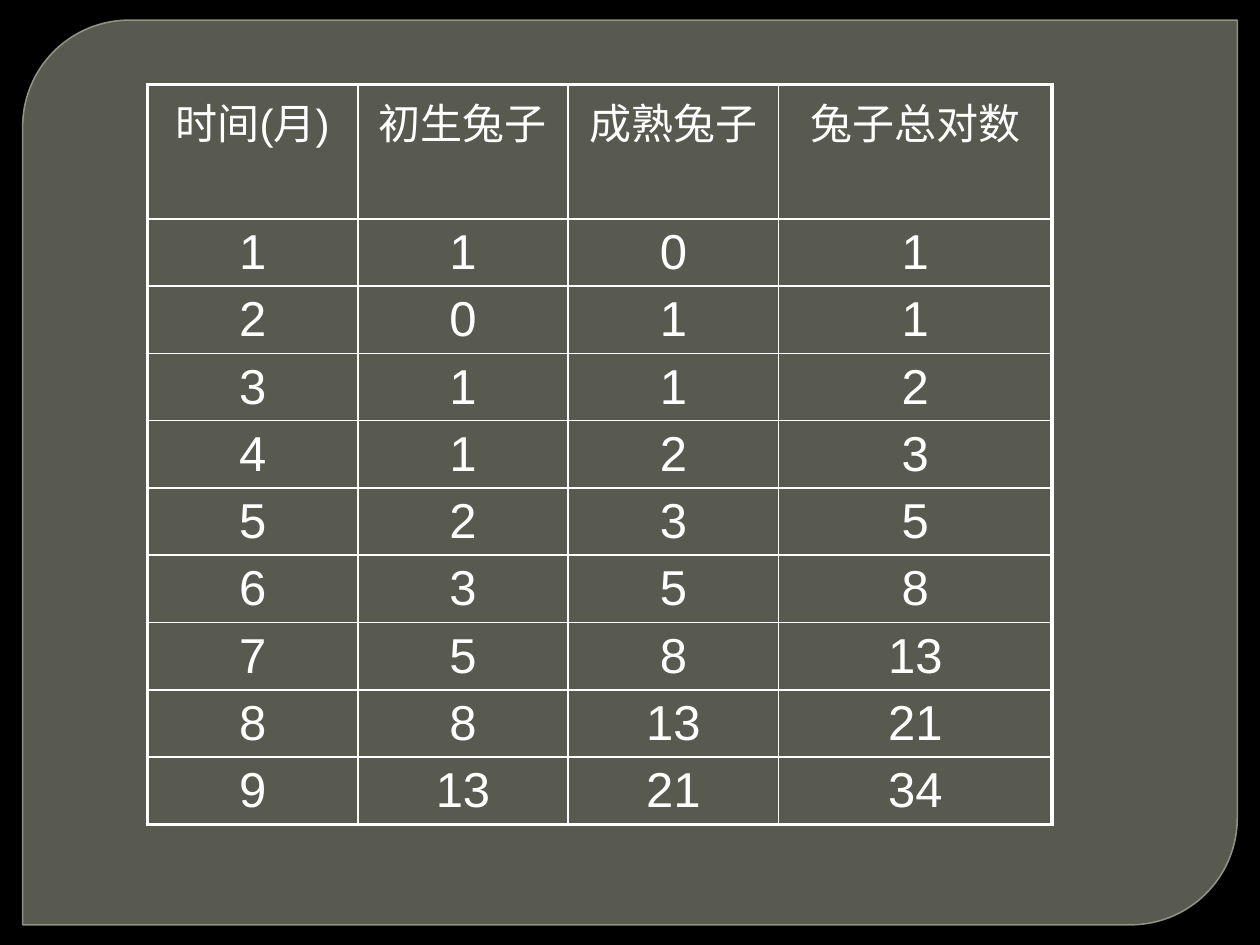
"""Build a slide tabulating the monthly growth of a rabbit population."""
from lxml import etree
from pptx import Presentation
from pptx.dml.color import RGBColor
from pptx.enum.shapes import MSO_SHAPE
from pptx.enum.text import PP_ALIGN
from pptx.oxml.ns import qn
from pptx.util import Inches, Pt

PANEL_SHAPE = MSO_SHAPE.ROUND_2_DIAG_RECTANGLE
CENTER = PP_ALIGN.CENTER
BLACK = RGBColor(0x00, 0x00, 0x00)
WHITE = RGBColor(0xFF, 0xFF, 0xFF)
PANEL_FILL = RGBColor(0x88, 0x8B, 0x7B)
PANEL_LINE = RGBColor(0x9D, 0xA0, 0x90)
HEADERS = ["时间(月)", "初生兔子", "成熟兔子", "兔子总对数"]
COLUMN_WIDTHS = [1.67, 1.67, 1.67, 2.17]
ROW_HEIGHT = 0.44
MONTHS = 9


def set_opacity(properties, percent):
    color = next(properties.iter(qn("a:srgbClr")))
    etree.SubElement(color, qn("a:alpha"), val=str(percent * 1000))


def add_border(cell, side, points):
    properties = cell._tc.get_or_add_tcPr()
    line = etree.SubElement(properties, qn(f"a:ln{side}"), w=str(Pt(points)))
    fill = etree.SubElement(line, qn("a:solidFill"))
    etree.SubElement(fill, qn("a:srgbClr"), val=str(WHITE))


deck = Presentation()
deck.slide_width, deck.slide_height = Inches(10), Inches(7.5)
page = deck.slides.add_slide(deck.slide_layouts[6])
page.background.fill.solid()
page.background.fill.fore_color.rgb = BLACK

panel = page.shapes.add_shape(PANEL_SHAPE, Inches(0.18), Inches(0.16), Inches(9.64), Inches(7.18))
panel.shadow.inherit = False
panel.adjustments[0] = 0.118
panel.adjustments[1] = 0
panel.fill.solid()
panel.fill.fore_color.rgb = PANEL_FILL
set_opacity(panel._element.spPr.find(qn("a:solidFill")), 65)
panel.line.color.rgb = PANEL_LINE
panel.line.width = Pt(0.87)
set_opacity(panel._element.spPr.find(qn("a:ln")), 88)

rows = [HEADERS]
newborn, mature = 1, 0
for month in range(1, MONTHS + 1):
    total = newborn + mature
    rows.append([month, newborn, mature, total])
    newborn, mature = mature, total

last_row, last_column = len(rows) - 1, len(HEADERS) - 1
table = page.shapes.add_table(
    len(rows), len(HEADERS), Inches(1.17), Inches(0.67),
    Inches(sum(COLUMN_WIDTHS)), Inches(ROW_HEIGHT * len(rows)),
).table
table.first_row = False
table.horz_banding = False
for column, width in zip(table.columns, COLUMN_WIDTHS):
    column.width = Inches(width)

for row_index, values in enumerate(rows):
    table.rows[row_index].height = Inches(ROW_HEIGHT)
    for column_index, value in enumerate(values):
        cell = table.cell(row_index, column_index)
        outer_sides = {
            "L": column_index == 0,
            "R": column_index == last_column,
            "T": row_index == 0,
            "B": row_index == last_row,
        }
        for side, is_outer in outer_sides.items():
            add_border(cell, side, 2.25 if is_outer else 1)
        cell.fill.background()
        para = cell.text_frame.paragraphs[0]
        para.alignment = CENTER
        spacing = etree.SubElement(para._p.get_or_add_pPr(), qn("a:spcBef"))
        etree.SubElement(spacing, qn("a:spcPct"), val="20000")
        span = para.add_run()
        span.text = str(value)
        span.font.name = "Arial"
        span.font.size = Pt(24 if row_index == 0 else 28)
        span.font.color.rgb = WHITE

deck.save("out.pptx")
